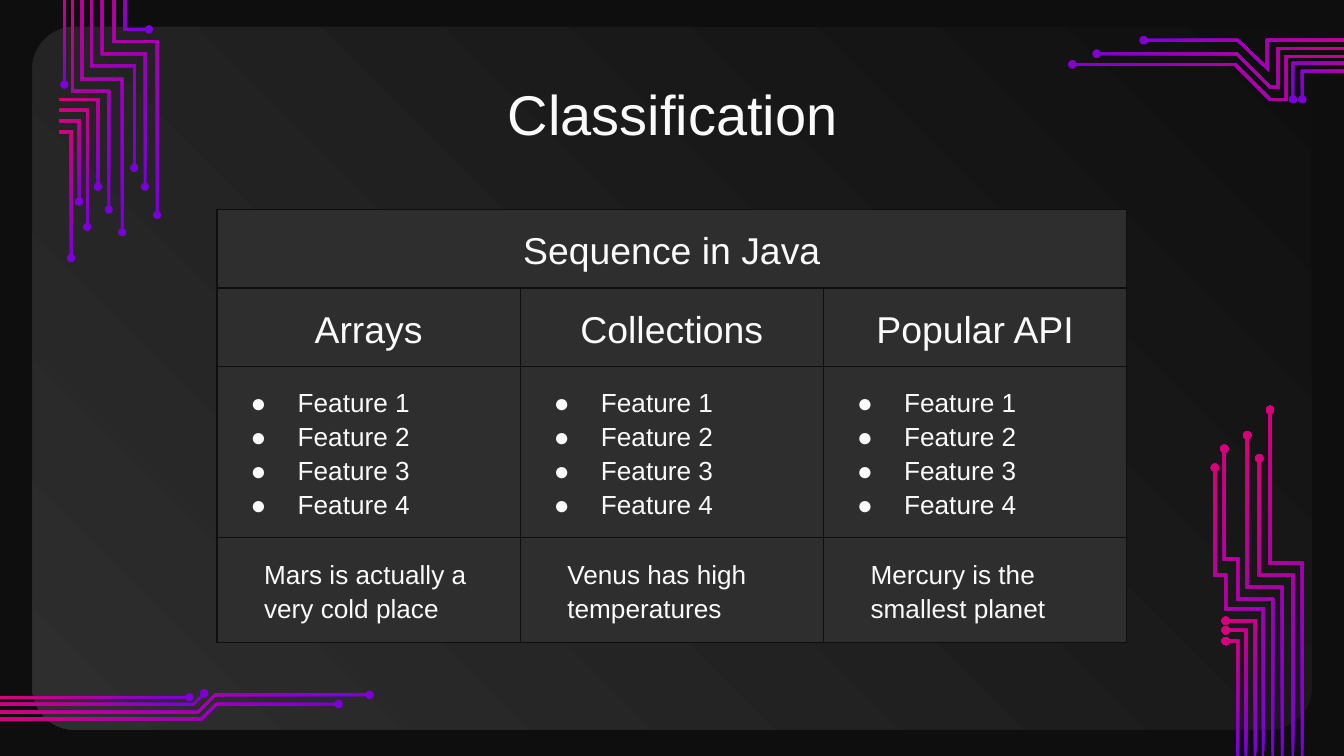
"""Build the Classification slide: a sequence table framed by circuit traces."""
import math
from dataclasses import dataclass

import pptx
import pptx.dml.color
import pptx.enum.shapes
import pptx.enum.text
import pptx.oxml
import pptx.oxml.ns
import pptx.util
from pptx.util import Inches

FONT = "Arial"
DARK, PANEL, LIGHT = "0E0E0E", "2E2E2E", "FAFAFA"
VIOLET, PINK = "7800DA", "DA0078"
TRACE_WIDTH, DOT_RADIUS, ARC_STEPS = 0.02, 0.03, 16
SLIDE_WIDTH, TABLE_WIDTH, COLUMN_COUNT = 10, 6.77, 3
Point = tuple[float, float]


@dataclass
class Circuit:
    """Traces sharing a gradient angle; each runs from its dot to its tail."""
    angle: float
    traces: list[list[Point]]


@dataclass
class CellStyle:
    """Paragraph format of one table row."""
    size: float
    centered: bool = False
    margin: float = 0
    indent: float = 0
    bullet: str = ""


@dataclass
class TableRow:
    """One table row: its height, its style and the lines of each cell."""
    height: float
    style: CellStyle
    cells: list[list[str]]


HEADING = CellStyle(20, centered=True)
FEATURE = CellStyle(14, margin=0.5, indent=-0.35, bullet="●")
REMARK = CellStyle(14, margin=0.25)
FEATURES = [f"Feature {number}" for number in range(1, 5)]
ROWS = [
    TableRow(0.45, HEADING, [["Sequence in Java"]]),
    TableRow(0.45, HEADING, [["Arrays"], ["Collections"], ["Popular API"]]),
    TableRow(1.25, FEATURE, [FEATURES] * COLUMN_COUNT),
    TableRow(0.78, REMARK, [["Mars is actually a very cold place"],
                            ["Venus has high temperatures"],
                            ["Mercury is the smallest planet"]]),
]

BOTTOM_LEFT = Circuit(135, [
    [(2.52, 5.24), (1.61, 5.24), (1.5, 5.35), (0, 5.35)],
    [(1.52, 5.16), (1.44, 5.24), (0, 5.24)],
    [(1.41, 5.19), (0, 5.19)],
    [(2.75, 5.17), (1.6, 5.17), (1.47, 5.3), (0, 5.3)],
])
TOP_RIGHT = Circuit(45, [
    [(9.69, 0.74), (9.69, 0.53), (10.48, 0.53)],
    [(9.62, 0.74), (9.62, 0.47), (10.48, 0.47)],
    [(8.51, 0.3), (9.21, 0.3), (9.43, 0.51), (9.43, 0.3), (10.48, 0.3)],
    [(7.98, 0.48), (9.19, 0.48), (9.45, 0.74), (9.57, 0.74), (9.57, 0.42), (10.48, 0.42)],
    [(8.16, 0.4), (9.2, 0.4), (9.45, 0.65), (9.51, 0.65), (9.51, 0.36), (10.48, 0.36)],
])
TOP_LEFT = Circuit(135, [
    [(0.48, 0.63), (0.48, -0.07), (0.44, -0.07)],
    [(0.53, 1.92), (0.53, 0.98), (0.44, 0.98)],
    [(0.59, 1.5), (0.59, 0.9), (0.44, 0.9)],
    [(0.65, 1.69), (0.65, 0.82), (0.44, 0.82)],
    [(0.73, 1.39), (0.73, 0.74), (0.44, 0.74)],
    [(0.81, 1.56), (0.81, 0.68), (0.54, 0.68), (0.54, -0.14), (0.44, -0.14)],
    [(0.91, 1.73), (0.91, 0.59), (0.61, 0.59), (0.61, -0.85)],
    [(1, 1.25), (1, 0.49), (0.68, 0.49), (0.68, -0.85)],
    [(1.11, 0.22), (0.93, 0.22), (0.93, -0.85)],
    [(1.08, 1.39), (1.08, 0.4), (0.76, 0.4), (0.76, -0.85)],
    [(1.17, 1.6), (1.17, 0.31), (0.85, 0.31), (0.85, -0.85)],
])
BOTTOM_RIGHT = Circuit(135, [
    [(9.45, 3.05), (9.45, 4.19), (9.69, 4.19), (9.69, 5.64)],
    [(9.37, 3.41), (9.37, 4.28), (9.62, 4.28), (9.62, 5.64)],
    [(9.28, 3.24), (9.28, 4.37), (9.54, 4.37), (9.54, 5.64)],
    [(9.11, 3.34), (9.11, 4.16), (9.21, 4.16), (9.21, 4.46), (9.47, 4.46), (9.47, 5.64)],
    [(9.04, 3.48), (9.04, 4.28), (9.12, 4.28), (9.12, 4.53), (9.4, 4.53), (9.4, 5.64)],
    [(9.12, 4.77), (9.21, 4.77), (9.21, 5.64)],
    [(9.12, 4.69), (9.27, 4.69), (9.27, 5.64)],
    [(9.12, 4.62), (9.34, 4.62), (9.34, 5.64)],
])


def color(value: str) -> pptx.dml.color.RGBColor:
    """Turn a hex string into a colour."""
    return pptx.dml.color.RGBColor.from_string(value)


def paint_gradient(shape, start: str, end: str, angle: float) -> None:
    """Give a shape a two-colour linear gradient and no line or shadow."""
    shape.shadow.inherit = False
    shape.line.fill.background()
    shape.fill.gradient()
    shape.fill.gradient_angle = angle
    for stop, value in zip(shape.fill.gradient_stops, (start, end)):
        stop.color.rgb = color(value)


def trace_outline(points: list[Point]) -> list[Point]:
    """Outline a mitred band along the points with a round dot at the first."""
    half = TRACE_WIDTH / 2
    headings = [math.atan2(y2 - y1, x2 - x1)
                for (x1, y1), (x2, y2) in zip(points, points[1:])]
    left, right = [], []
    for (x, y), before, after in zip(points[1:], headings, headings[1:] + headings[-1:]):
        turn = math.remainder(after - before, math.tau) / 2
        reach = half / math.cos(turn)
        dx = -math.sin(before + turn) * reach
        dy = math.cos(before + turn) * reach
        left.append((x + dx, y + dy))
        right.append((x - dx, y - dy))
    opening = math.asin(half / DOT_RADIUS)
    sweep = math.tau - 2 * opening
    angles = [headings[0] - opening - sweep * step / ARC_STEPS for step in range(ARC_STEPS + 1)]
    x, y = points[0]
    dot = [(x + DOT_RADIUS * math.cos(angle), y + DOT_RADIUS * math.sin(angle))
           for angle in angles]
    return dot + left + right[::-1]


def draw_circuit(slide, circuit: Circuit) -> None:
    """Draw every trace of a circuit as a gradient freeform."""
    for trace in circuit.traces:
        outline = [(Inches(x), Inches(y)) for x, y in trace_outline(trace)]
        builder = slide.shapes.build_freeform(*outline[0])
        builder.add_line_segments(outline[1:], close=True)
        paint_gradient(builder.convert_to_shape(), VIOLET, PINK, circuit.angle)


def add_text(paragraph, text: str, size: float) -> None:
    """Add one light run to a paragraph."""
    run = paragraph.add_run()
    run.text = text
    run.font.name = FONT
    run.font.size = pptx.util.Pt(size)
    run.font.color.rgb = color(LIGHT)


def append_xml(parent, xml: str) -> None:
    """Append a DrawingML element to a parent."""
    namespace = pptx.oxml.ns.nsdecls("a")
    parent.append(pptx.oxml.parse_xml(xml.replace(" ", f" {namespace} ", 1)))


def fill_cell(cell, lines: list[str], style: CellStyle) -> None:
    """Set the borders, fill and paragraphs of a table cell."""
    properties = cell._tc.get_or_add_tcPr()
    for side in "LRTB":
        append_xml(properties, f'<a:ln{side} w="{pptx.util.Pt(0.75)}"><a:solidFill>'
                               f'<a:srgbClr val="{DARK}"/></a:solidFill></a:ln{side}>')
    cell.fill.solid()
    cell.fill.fore_color.rgb = color(PANEL)
    cell.vertical_anchor = pptx.enum.text.MSO_ANCHOR.MIDDLE
    cell.margin_left = cell.margin_right = cell.margin_top = cell.margin_bottom = Inches(0.1)
    for index, line in enumerate(lines):
        frame = cell.text_frame
        paragraph = frame.add_paragraph() if index else frame.paragraphs[0]
        paragraph.line_spacing = 1.15
        if style.centered:
            paragraph.alignment = pptx.enum.text.PP_ALIGN.CENTER
        paragraph_properties = paragraph._p.get_or_add_pPr()
        paragraph_properties.set("marL", str(Inches(style.margin)))
        paragraph_properties.set("indent", str(Inches(style.indent)))
        if style.bullet:
            for xml in (f'<a:buClr ><a:srgbClr val="{LIGHT}"/></a:buClr>',
                        f'<a:buSzPts val="{style.size * 100}"/>',
                        f'<a:buFont typeface="{FONT}"/>',
                        f'<a:buChar char="{style.bullet}"/>'):
                append_xml(paragraph_properties, xml)
        add_text(paragraph, line, style.size)


def draw_table(slide, rows: list[TableRow]) -> None:
    """Draw the centred table with its first row merged across."""
    left = (SLIDE_WIDTH - TABLE_WIDTH) / 2
    frame = slide.shapes.add_table(len(rows), COLUMN_COUNT, Inches(left), Inches(1.56),
                                   Inches(TABLE_WIDTH), Inches(3.28))
    table = frame.table
    table.first_row = table.horz_banding = False
    table.cell(0, 0).merge(table.cell(0, COLUMN_COUNT - 1))
    for row_index, row in enumerate(rows):
        table.rows[row_index].height = Inches(row.height)
        for column_index in range(COLUMN_COUNT):
            lines = row.cells[column_index] if column_index < len(row.cells) else []
            fill_cell(table.cell(row_index, column_index), lines, row.style)
    frame.width = frame.height = Inches(3.28)


def draw_title(slide, text: str) -> None:
    """Draw the centred slide title."""
    frame = slide.shapes.add_textbox(Inches(0.79), Inches(0.49),
                                     Inches(8.43), Inches(0.63)).text_frame
    frame.word_wrap = True
    frame.margin_top = frame.margin_bottom = Inches(0.1)
    frame.paragraphs[0].alignment = pptx.enum.text.PP_ALIGN.CENTER
    add_text(frame.paragraphs[0], text, 30)


def main() -> None:
    """Build and save the presentation."""
    presentation = pptx.Presentation()
    presentation.slide_width = Inches(SLIDE_WIDTH)
    presentation.slide_height = Inches(SLIDE_WIDTH * 9 / 16)
    slide = presentation.slides.add_slide(presentation.slide_layouts[6])
    slide.background.fill.solid()
    slide.background.fill.fore_color.rgb = color(DARK)
    panel = slide.shapes.add_shape(pptx.enum.shapes.MSO_SHAPE.ROUNDED_RECTANGLE,
                                   Inches(0.24), Inches(0.2), Inches(9.52), Inches(5.23))
    panel.adjustments[0] = 0.06
    paint_gradient(panel, "0F0F0F", PANEL, 225)
    for circuit in (BOTTOM_LEFT, TOP_RIGHT):
        draw_circuit(slide, circuit)
    draw_title(slide, "Classification")
    draw_table(slide, ROWS)
    for circuit in (TOP_LEFT, BOTTOM_RIGHT):
        draw_circuit(slide, circuit)
    presentation.save("out.pptx")


if __name__ == "__main__":
    main()
